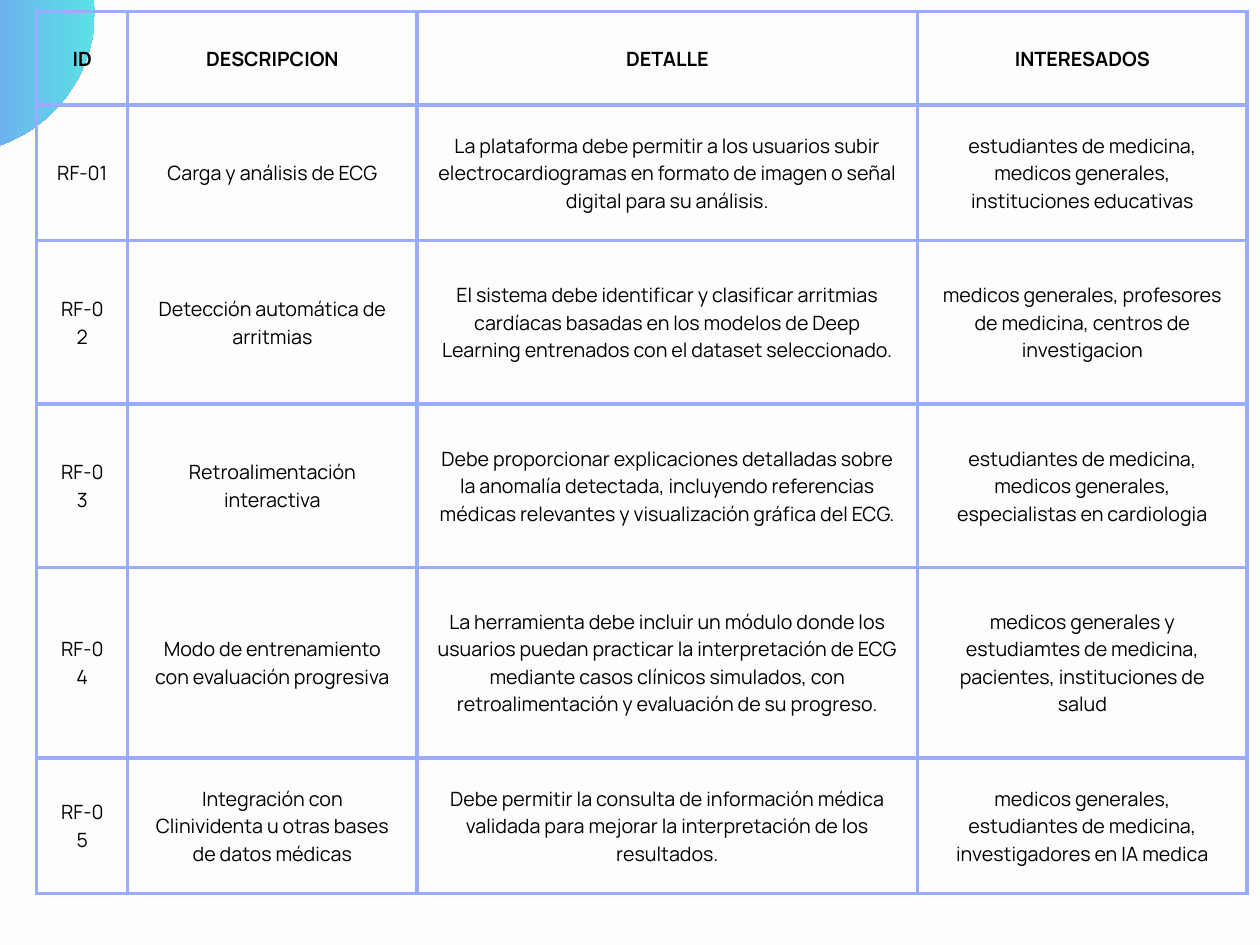
import dataclasses

import lxml.etree
import pptx
import pptx.dml.color
import pptx.enum.shapes
import pptx.enum.text
import pptx.oxml.ns
import pptx.util
from pptx.util import Cm, Pt


@dataclasses.dataclass(frozen=True)
class Theme:
    font: str = "Manrope"
    text_size: float = 12
    line_spacing: float = 16.8
    border_width: float = 2.25
    background: str = "FFFCFC"
    text: str = "000000"
    border: str = "99ACFF"
    gradient: tuple = ("8C52FF", "5CE1E6")


COLUMN_WIDTHS = (1.96, 6.22, 10.77, 7.08)
ROW_HEIGHTS = (2.01, 2.92, 3.51, 3.51, 4.1, 2.92)
CELL_MARGIN = 0.43
HEADERS = ("ID", "DESCRIPCION", "DETALLE", "INTERESADOS")
REQUIREMENTS = (
    (
        "Carga y análisis de ECG",
        "La plataforma debe permitir a los usuarios subir electrocardiogramas "
        "en formato de imagen o señal digital para su análisis.",
        "estudiantes de medicina, medicos generales, instituciones educativas",
    ),
    (
        "Detección automática de arritmias",
        "El sistema debe identificar y clasificar arritmias cardíacas basadas en "
        "los modelos de Deep Learning entrenados con el dataset seleccionado.",
        "medicos generales, profesores de medicina, centros de investigacion",
    ),
    (
        "Retroalimentación interactiva",
        "Debe proporcionar explicaciones detalladas sobre la anomalía detectada, "
        "incluyendo referencias médicas relevantes y visualización gráfica del ECG.",
        "estudiantes de medicina, medicos generales, especialistas en cardiologia",
    ),
    (
        "Modo de entrenamiento con evaluación progresiva",
        "La herramienta debe incluir un módulo donde los usuarios puedan practicar "
        "la interpretación de ECG mediante casos clínicos simulados, con "
        "retroalimentación y evaluación de su progreso.",
        "medicos generales y estudiamtes de medicina, pacientes, instituciones de salud",
    ),
    (
        "Integración con Clinividenta u otras bases de datos médicas",
        "Debe permitir la consulta de información médica validada para mejorar "
        "la interpretación de los resultados.",
        "medicos generales, estudiantes de medicina, investigadores en IA medica",
    ),
)


def color(value):
    return pptx.dml.color.RGBColor.from_string(value)


class SlideBuilder:
    """Draws themed elements on the current slide."""

    def __init__(self, slide, theme):
        self.slide = slide
        self.theme = theme

    def background(self):
        fill = self.slide.background.fill
        fill.solid()
        fill.fore_color.rgb = color(self.theme.background)

    def gradient_circle(self, left, top, diameter):
        shape = self.slide.shapes.add_shape(
            pptx.enum.shapes.MSO_SHAPE.OVAL,
            Cm(left), Cm(top), Cm(diameter), Cm(diameter),
        )
        shape.shadow.inherit = False
        shape.line.fill.background()
        shape.fill.gradient()
        shape.fill.gradient_angle = 0
        for position, (stop, value) in enumerate(
            zip(shape.fill.gradient_stops, self.theme.gradient)
        ):
            stop.position = position
            stop.color.rgb = color(value)

    def table(self, left, top, widths, heights, rows):
        table = self.slide.shapes.add_table(
            len(heights), len(widths),
            Cm(left), Cm(top), Cm(sum(widths)), Cm(sum(heights)),
        ).table
        table.first_row = False
        table.horz_banding = False
        for column, width in zip(table.columns, widths):
            column.width = Cm(width)
        for index, (row, height, texts) in enumerate(zip(table.rows, heights, rows)):
            row.height = Cm(height)
            for cell, text in zip(row.cells, texts):
                self.cell(cell, text, bold=index == 0)

    def cell(self, cell, text, bold):
        cell.fill.background()
        cell.vertical_anchor = pptx.enum.text.MSO_ANCHOR.MIDDLE
        cell.margin_left = cell.margin_right = Cm(CELL_MARGIN)
        cell.margin_top = cell.margin_bottom = Cm(CELL_MARGIN)
        self.borders(cell)
        paragraph = cell.text_frame.paragraphs[0]
        paragraph.alignment = pptx.enum.text.PP_ALIGN.CENTER
        paragraph.line_spacing = Pt(self.theme.line_spacing)
        run = paragraph.add_run()
        run.text = text
        run.font.name = self.theme.font
        run.font.size = Pt(self.theme.text_size)
        run.font.bold = bold
        run.font.color.rgb = color(self.theme.text)

    def borders(self, cell):
        qualified = pptx.oxml.ns.qn
        properties = cell._tc.get_or_add_tcPr()
        for index, side in enumerate(("lnL", "lnR", "lnT", "lnB")):
            line = lxml.etree.Element(
                qualified(f"a:{side}"), w=str(Pt(self.theme.border_width))
            )
            fill = lxml.etree.SubElement(line, qualified("a:solidFill"))
            lxml.etree.SubElement(fill, qualified("a:srgbClr"), val=self.theme.border)
            properties.insert(index, line)


def main():
    presentation = pptx.Presentation()
    presentation.slide_width = Cm(27.1)
    presentation.slide_height = Cm(20.32)
    slide = presentation.slides.add_slide(presentation.slide_layouts[6])
    builder = SlideBuilder(slide, Theme())
    builder.background()
    builder.gradient_circle(-4.08, -2.82, 6.12)
    rows = [HEADERS] + [
        (f"RF-{number:02}", *texts) for number, texts in enumerate(REQUIREMENTS, 1)
    ]
    builder.table(0.79, 0.25, COLUMN_WIDTHS, ROW_HEIGHTS, rows)
    presentation.save("out.pptx")


if __name__ == "__main__":
    main()
